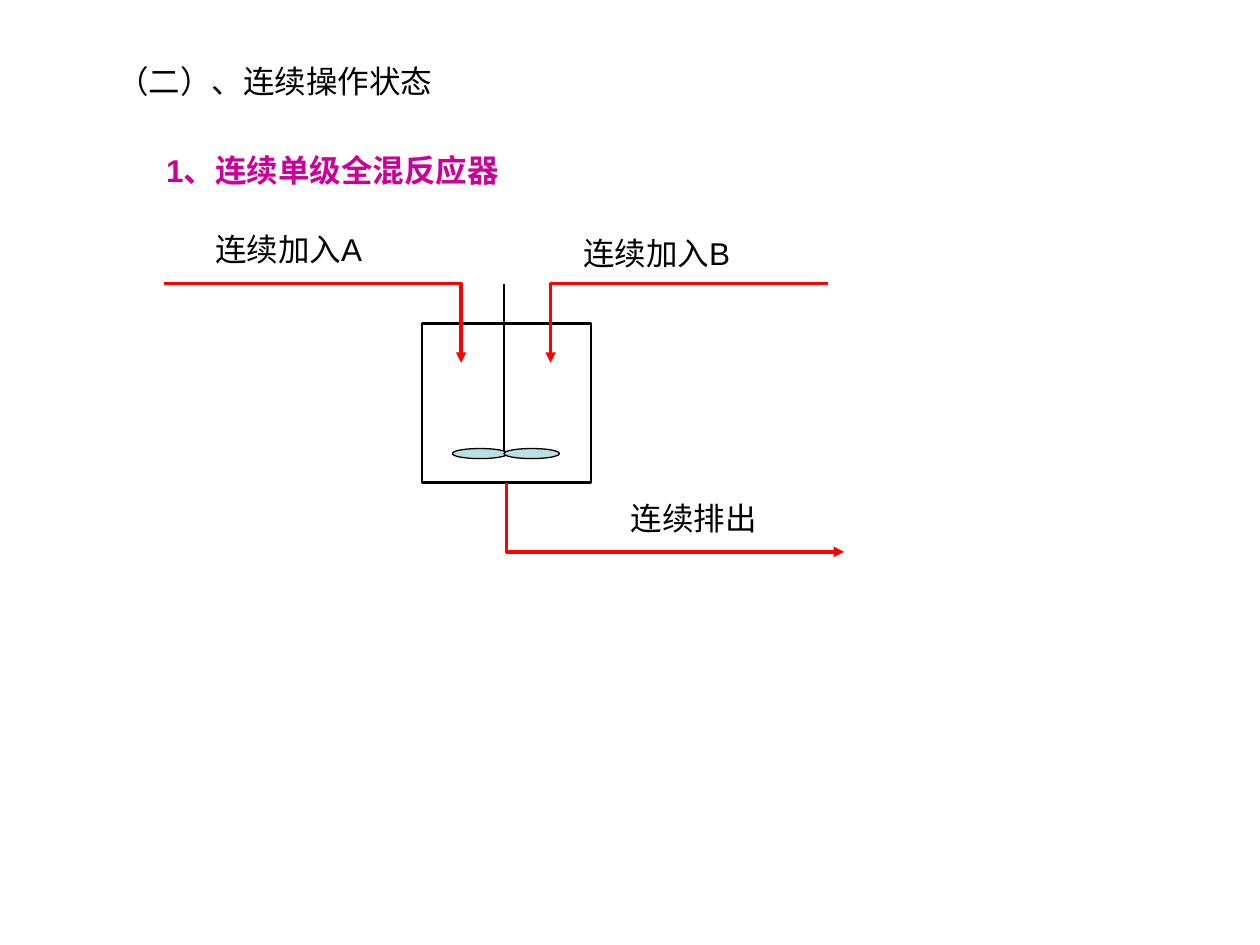
from lxml import etree
from pptx import Presentation
from pptx.dml.color import RGBColor
from pptx.enum import shapes, text
from pptx.oxml import ns
from pptx.util import Inches, Pt

COLORS = {"ink": "000000", "heading": "CC0099", "flow": "FF0000", "blade": "BBE0E3"}
TITLE = ("（二）、连续操作状态", (0.83, 0.44, 8.27, 0.4))
LABELS = [
    ("1、连续单级全混反应器", (1.22, 1.15, 4.02, 0.4), "heading", True),
    ("连续加入A", (1.61, 1.78, 1.65, 0.4), "ink", False),
    ("连续加入B", (4.53, 1.81, 1.65, 0.4), "ink", False),
    ("连续排出", (4.91, 3.91, 1.34, 0.4), "ink", False),
]
TANK = (3.35, 2.57, 1.34, 1.26)
SHAFT = (4, 2.25, 4, 3.59)
BLADES = [(left, 3.56, 0.44, 0.08) for left in (3.59, 4)]
FLOWS = [
    [(1.3, 2.25), (3.66, 2.25), (3.66, 2.88)],
    [(6.57, 2.25), (4.37, 2.25), (4.37, 2.88)],
    [(4.02, 3.83), (4.02, 4.38), (6.7, 4.38)],
]


def rgb(name):
    return RGBColor.from_string(COLORS[name])


def inches(values):
    return [Inches(v) for v in values]


def write(sp, words, color, bold=False):
    tf = sp.text_frame
    tf.word_wrap = True
    tf.auto_size = text.MSO_AUTO_SIZE.NONE
    tf.vertical_anchor = text.MSO_ANCHOR.TOP
    p = tf.paragraphs[0]
    p.text = words
    p.alignment = text.PP_ALIGN.LEFT
    p.space_before = Pt(0)
    p.font.name = "Arial"
    p.font.size = Pt(18)
    p.font.bold = bold
    p.font.color.rgb = rgb(color)


def outline(sp, color, width):
    sp.line.color.rgb = rgb(color)
    sp.line.width = Pt(width)


def add_part(s, kind, box, width, fill=None):
    sp = s.shapes.add_shape(kind, *inches(box))
    sp.shadow.inherit = False
    if fill:
        sp.fill.solid()
        sp.fill.fore_color.rgb = rgb(fill)
    else:
        sp.fill.background()
    outline(sp, "ink", width)


def add_flow(s, points):
    start, *rest = [inches(point) for point in points]
    builder = s.shapes.build_freeform(*start)
    builder.add_line_segments(rest, close=False)
    sp = builder.convert_to_shape()
    sp.shadow.inherit = False
    sp.fill.background()
    outline(sp, "flow", 2)
    etree.SubElement(sp.line._get_or_add_ln(), ns.qn("a:tailEnd"), type="triangle")


def main():
    """Build the slide on the continuous single-stage mixed reactor."""
    prs = Presentation()
    prs.slide_width, prs.slide_height = Inches(10), Inches(7.5)
    s = prs.slides.add_slide(prs.slide_layouts[5])

    title = s.shapes.title
    words, box = TITLE
    title.left, title.top, title.width, title.height = inches(box)
    write(title, words, "ink")

    add_part(s, shapes.MSO_SHAPE.RECTANGLE, TANK, 1.5)
    shaft = s.shapes.add_connector(shapes.MSO_CONNECTOR.STRAIGHT, *inches(SHAFT))
    outline(shaft, "ink", 1.25)
    etree.SubElement(shaft._element.spPr, ns.qn("a:effectLst"))
    for box in BLADES:
        add_part(s, shapes.MSO_SHAPE.OVAL, box, 0.75, "blade")
    for points in FLOWS:
        add_flow(s, points)
    for words, box, color, bold in LABELS:
        write(s.shapes.add_textbox(*inches(box)), words, color, bold)

    prs.save("out.pptx")


if __name__ == "__main__":
    main()
